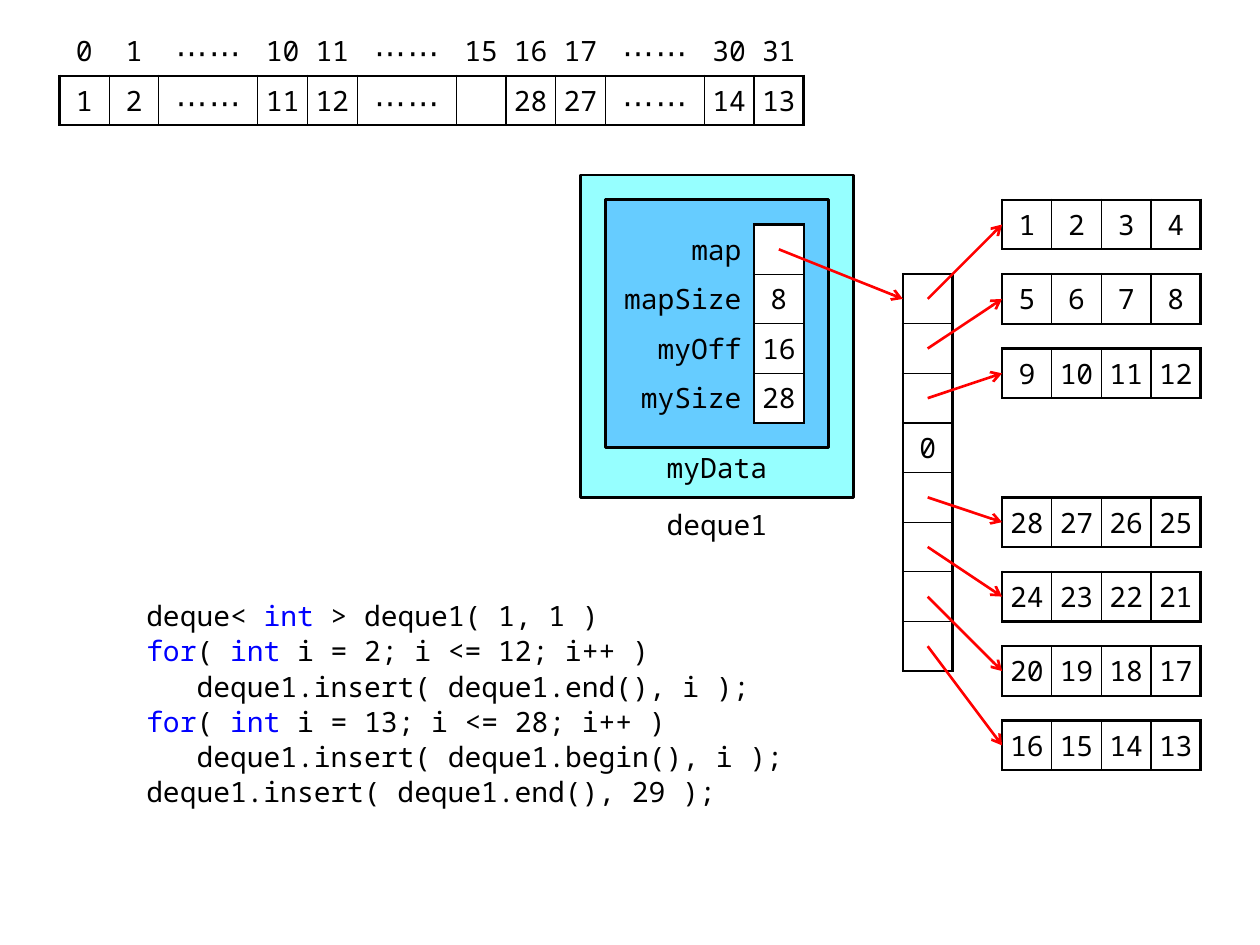
from typing import NamedTuple

from lxml.etree import SubElement
from pptx import Presentation
from pptx.dml.color import RGBColor
from pptx.enum.shapes import MSO_CONNECTOR as Connector, MSO_SHAPE as Preset
from pptx.enum.text import MSO_ANCHOR as Anchor, PP_ALIGN as Align
from pptx.oxml.ns import qn
from pptx.util import Pt

CELL = 28.35
ORIGIN_X, ORIGIN_Y = 34, 14.9
FONT = "Noto Sans Mono"
BLACK, WHITE, RED, BLUE = "000000", "FFFFFF", "FF0000", "0000FF"
THICK, THIN = 1.5, 0.75
PADDING = 2.8
DOTS = "⋯⋯"
KEYWORDS = {"int", "for"}


class Box(NamedTuple):
    column: float
    row: float
    width: float
    height: float


class Grid(NamedTuple):
    column: float
    row: float
    rows: list
    widths: list
    header_rows: int = 0
    label_columns: int = 0


class Arrow(NamedTuple):
    start: tuple
    end: tuple


class CodeLine(NamedTuple):
    tokens: tuple
    indent: float = 0


INDEX_GRID = Grid(
    0, 0,
    [["0", "1", DOTS, "10", "11", DOTS, "15", "16", "17", DOTS, "30", "31"],
     ["1", "2", DOTS, "11", "12", DOTS, "", "28", "27", DOTS, "14", "13"]],
    [1, 1, 2, 1, 1, 2, 1, 1, 1, 2, 1, 1], header_rows=1)
FIELD_GRID = Grid(
    11, 4, [["map", ""], ["mapSize", "8"], ["myOff", "16"], ["mySize", "28"]],
    [3, 1], label_columns=1)
BLOCKS = [range(1, 5), range(5, 9), range(9, 13), None, range(28, 24, -1),
          range(24, 20, -1), range(20, 16, -1), range(16, 12, -1)]
MAP_GRID = Grid(17, 5, [["0" if block is None else ""] for block in BLOCKS], [1])

OUTER_BOX = Box(10.5, 3, 5.5, 6.5)
INNER_BOX = Box(11, 3.5, 4.5, 5)
CODE_BOX = Box(1.5, 11.5, 13.5, 5.5)
INDENT = 28.8
CODE = [
    CodeLine(("deque< ", "int", " > deque1( 1, 1 )")),
    CodeLine(("for", "( ", "int", " i = 2; i <= 12; i++ )")),
    CodeLine(("deque1.insert( deque1.end(), i );",), INDENT),
    CodeLine(("for", "( ", "int", " i = 13; i <= 28; i++ )")),
    CodeLine(("deque1.insert( deque1.begin(), i );",), INDENT),
    CodeLine(("deque1.insert( deque1.end(), 29 );",)),
]


def color(value: str) -> RGBColor:
    return RGBColor.from_string(value)


def position(column: float, row: float) -> tuple:
    return Pt(ORIGIN_X + column * CELL), Pt(ORIGIN_Y + row * CELL)


def frame(box: Box) -> tuple:
    return (*position(box.column, box.row),
            Pt(box.width * CELL), Pt(box.height * CELL))


def style_paragraph(paragraph, alignment) -> None:
    paragraph.alignment = alignment
    paragraph.font.name = FONT
    paragraph.font.size = Pt(16)
    paragraph.font.color.rgb = color(BLACK)


def write_cell(paragraph, text: str) -> None:
    if text != DOTS:
        paragraph.add_run().text = text
        return
    runs = [paragraph.add_run() for _ in DOTS]
    for run, dot in zip(runs, DOTS):
        run.text = dot
        run.font.size = Pt(18)
    runs[0]._r.get_or_add_rPr().set("spc", "100")


def add_border(cell, side: str, width: float) -> None:
    line = SubElement(cell._tc.get_or_add_tcPr(), qn(f"a:ln{side}"))
    if not width:
        SubElement(line, qn("a:noFill"))
        return
    line.set("w", str(int(Pt(width))))
    fill = SubElement(line, qn("a:solidFill"))
    SubElement(fill, qn("a:srgbClr"), val=BLACK)


def border_widths(grid: Grid, row: int, column: int) -> dict:
    first_row, first_column = grid.header_rows, grid.label_columns
    if row < first_row or column < first_column:
        return {"L": 0, "R": THICK if column == first_column - 1 else 0,
                "T": 0, "B": THICK if row == first_row - 1 else 0}
    edges = {"L": column == first_column, "R": column == len(grid.widths) - 1,
             "T": row == first_row, "B": row == len(grid.rows) - 1}
    return {side: THICK if edge else THIN for side, edge in edges.items()}


def add_grid(slide, grid: Grid) -> None:
    box = Box(grid.column, grid.row, sum(grid.widths), len(grid.rows))
    table = slide.shapes.add_table(
        len(grid.rows), len(grid.widths), *frame(box)).table
    table.first_row = table.horz_banding = False
    for column, width in zip(table.columns, grid.widths):
        column.width = Pt(width * CELL)
    for row, texts in enumerate(grid.rows):
        table.rows[row].height = Pt(CELL)
        for column, text in enumerate(texts):
            cell = table.cell(row, column)
            is_label = column < grid.label_columns
            cell.vertical_anchor = Anchor.MIDDLE
            cell.margin_top = cell.margin_bottom = Pt(PADDING)
            cell.margin_left = cell.margin_right = Pt(7.2 if is_label else PADDING)
            for side, width in border_widths(grid, row, column).items():
                add_border(cell, side, width)
            if is_label or row < grid.header_rows:
                cell.fill.background()
            else:
                cell.fill.solid()
                cell.fill.fore_color.rgb = color(WHITE)
            paragraph = cell.text_frame.paragraphs[0]
            style_paragraph(paragraph, Align.RIGHT if is_label else Align.CENTER)
            write_cell(paragraph, text)


def add_arrow(slide, arrow: Arrow) -> None:
    connector = slide.shapes.add_connector(
        Connector.STRAIGHT, *position(*arrow.start), *position(*arrow.end))
    connector.line.width = Pt(1.5)
    connector.line.color.rgb = color(RED)
    SubElement(connector.line._get_or_add_ln(), qn("a:tailEnd"), type="arrow")
    SubElement(connector._element.spPr, qn("a:effectLst"))


def add_panel(slide, box: Box, fill: str) -> None:
    shape = slide.shapes.add_shape(Preset.FLOWCHART_PROCESS, *frame(box))
    shape.shadow.inherit = False
    shape.fill.solid()
    shape.fill.fore_color.rgb = color(fill)
    shape.line.color.rgb = color(BLACK)
    shape.line.width = Pt(THICK)


def add_caption(slide, box: Box, text: str, anchor, margin_top: float) -> None:
    text_frame = slide.shapes.add_textbox(*frame(box)).text_frame
    text_frame.word_wrap = True
    text_frame.vertical_anchor = anchor
    text_frame.margin_left = text_frame.margin_right = Pt(5.67)
    text_frame.margin_top, text_frame.margin_bottom = Pt(margin_top), Pt(0)
    text_frame.text = text
    style_paragraph(text_frame.paragraphs[0], Align.CENTER)


def add_code(slide, box: Box, lines: list) -> None:
    text_frame = slide.shapes.add_textbox(*frame(box)).text_frame
    text_frame.word_wrap = True
    for number, line in enumerate(lines):
        paragraph = text_frame.add_paragraph() if number else text_frame.paragraphs[0]
        style_paragraph(paragraph, Align.LEFT)
        paragraph.space_before = Pt(3)
        paragraph.line_spacing = 0.89
        paragraph._p.get_or_add_pPr().set("marL", str(int(Pt(line.indent))))
        for token in line.tokens:
            run = paragraph.add_run()
            run.text = token
            if token in KEYWORDS:
                run.font.color.rgb = color(BLUE)


def main() -> None:
    presentation = Presentation()
    presentation.slide_width, presentation.slide_height = Pt(720), Pt(540)
    slide = presentation.slides.add_slide(presentation.slide_layouts[6])
    add_code(slide, CODE_BOX, CODE)
    add_panel(slide, OUTER_BOX, "96FFFF")
    add_panel(slide, INNER_BOX, "66CCFF")
    add_caption(slide, Box(11.5, 9.5, 3.5, 1), "deque1", Anchor.MIDDLE, 2.8)
    add_caption(slide, Box(12, 8.5, 2.5, 1), "myData", Anchor.TOP, 1.4)
    for grid in (INDEX_GRID, FIELD_GRID, MAP_GRID):
        add_grid(slide, grid)
    add_arrow(slide, Arrow((14.5, 4.5), (17, 5.5)))
    for index, block in enumerate(BLOCKS):
        if block:
            top = 3.5 + 1.5 * index
            add_grid(slide, Grid(19, top, [[str(value) for value in block]], [1] * 4))
            add_arrow(slide, Arrow((17.5, 5.5 + index), (19, top + 0.5)))
    presentation.save("out.pptx")


if __name__ == "__main__":
    main()
